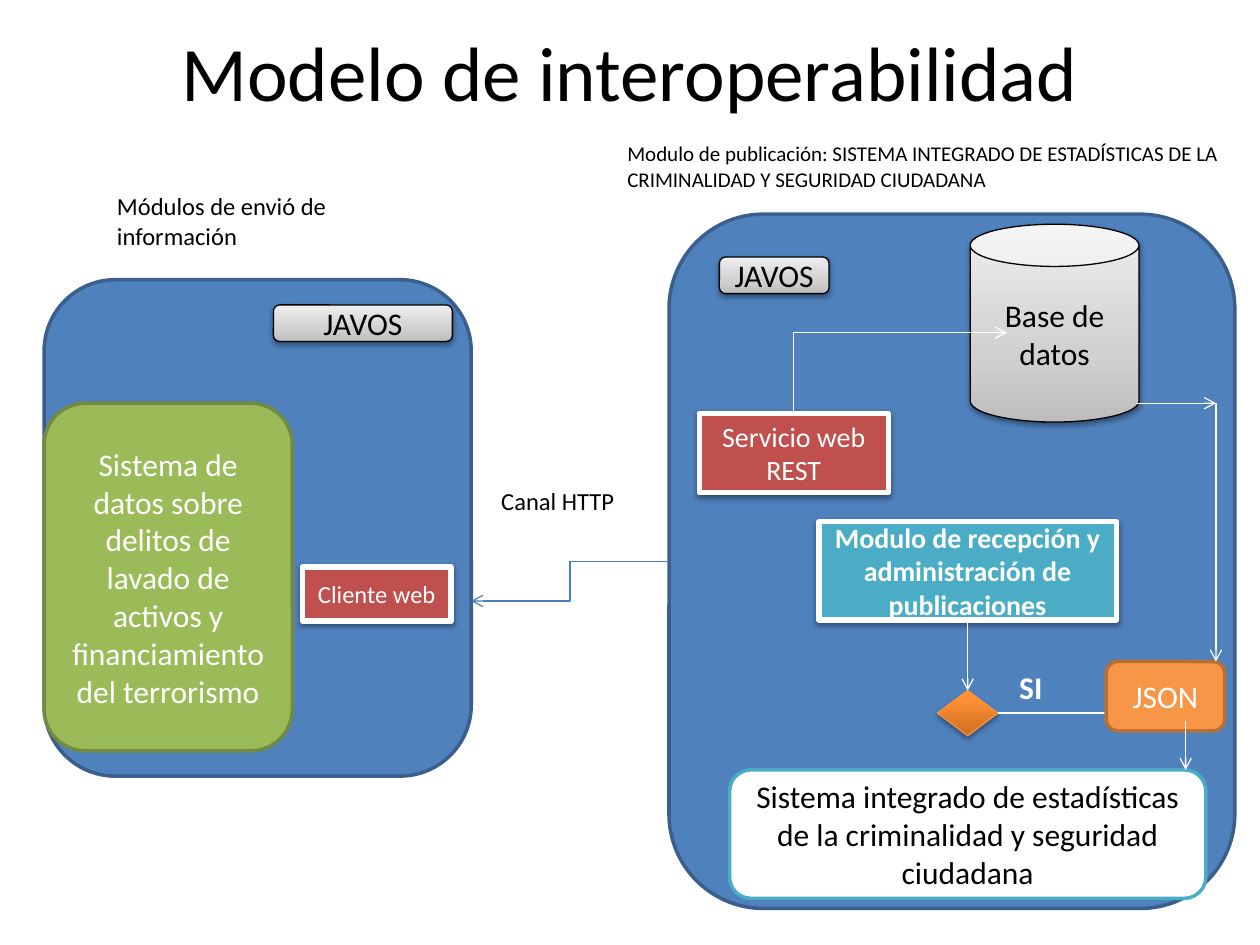
from dataclasses import dataclass
from typing import Optional

from lxml.etree import SubElement
from pptx import Presentation
from pptx.dml.color import RGBColor
from pptx.enum.shapes import MSO_CONNECTOR, MSO_SHAPE
from pptx.enum.text import MSO_ANCHOR, PP_ALIGN
from pptx.oxml.ns import qn
from pptx.util import Inches, Pt

COLORS = {
    "black": "000000", "white": "FFFFFF",
    "blue": "4F81BD", "blue_edge": "3A5F8C", "channel": "4B7EBC",
    "green": "9BBB59", "green_edge": "738A42",
    "red": "C0504D", "teal": "4BACC6",
    "orange": "F79646", "orange_edge": "B76F34", "decision_edge": "F69240",
}
GRADIENTS = {
    "silver": ((0, "BDBDBD"), (35, "D1D1D1"), (100, "EEEEEE")),
    "amber": ((0, "CC6E20"), (80, "FF9034"), (100, "FF9136")),
}
FONT = "Calibri"


@dataclass
class Label:
    text: str
    box: tuple
    size: float
    color: str = "black"
    bold: bool = False
    title: bool = False


@dataclass
class Node:
    name: str
    kind: MSO_SHAPE
    box: tuple
    fill: str
    edge: str
    width: float
    text: str = ""
    size: float = 18
    color: str = "white"
    bold: bool = False
    shadow: bool = False


@dataclass
class Link:
    start: tuple
    end: tuple
    color: str = "white"
    kind: MSO_CONNECTOR = MSO_CONNECTOR.STRAIGHT
    start_site: Optional[tuple] = None
    end_site: Optional[tuple] = None
    corner: bool = False


ROUND, RECTANGLE = MSO_SHAPE.ROUNDED_RECTANGLE, MSO_SHAPE.RECTANGLE
ELBOW = MSO_CONNECTOR.ELBOW

SCENE = (
    Label("Modelo de interoperabilidad", (0.75, 0.13, 8.5, 0.87), 44, title=True),
    Node("sender", ROUND, (0.35, 2.22, 3.39, 3.94), "blue", "blue_edge", 2),
    Node("publisher", ROUND, (5.31, 1.7, 4.49, 5.51), "blue", "blue_edge", 2),
    Label("Canal HTTP", (3.88, 3.81, 1.3, 0.34), 14),
    Label("Módulos de envió de información", (0.83, 1.47, 2.52, 0.57), 14),
    Label("Modulo de publicación: SISTEMA INTEGRADO DE ESTADÍSTICAS DE LA "
          "CRIMINALIDAD Y SEGURIDAD CIUDADANA", (4.88, 1.07, 5.12, 0.5), 12),
    Link((5.31, 4.46), (3.74, 4.77), "channel", ELBOW, ("publisher", 1)),
    Node("client", RECTANGLE, (2.4, 4.5, 1.18, 0.43), "red", "white", 3,
         "Cliente web", 14, shadow=True),
    Node("crime_data", ROUND, (0.35, 3.2, 1.97, 2.76), "green", "green_edge", 2,
         "Sistema de datos sobre delitos de lavado de activos y "
         "financiamiento del terrorismo"),
    Node("database", MSO_SHAPE.CAN, (7.7, 1.78, 1.34, 1.57), "silver", "black", 0.75,
         "Base de datos", color="black", shadow=True),
    Node("service", RECTANGLE, (5.55, 3.28, 1.5, 0.63), "red", "white", 3,
         "Servicio web REST", 16, shadow=True),
    Link((6.3, 3.28), (7.99, 2.64), kind=ELBOW, corner=True),
    Node("reception", RECTANGLE, (6.5, 4.14, 2.36, 0.78), "teal", "white", 3,
         "Modulo de recepción y administración de publicaciones", 16,
         bold=True, shadow=True),
    Node("decision", MSO_SHAPE.DIAMOND, (7.44, 5.48, 0.48, 0.36), "amber",
         "decision_edge", 0.75, shadow=True),
    Link((7.68, 4.92), (7.68, 5.48),
         start_site=("reception", 2), end_site=("decision", 0)),
    Node("statistics", ROUND, (5.79, 6.11, 3.78, 1.02), "white", "teal", 2,
         "Sistema integrado de estadísticas de la criminalidad y seguridad ciudadana",
         color="black"),
    Link((7.92, 5.66), (8.86, 5.66), start_site=("decision", 3)),
    Node("publisher_server", ROUND, (5.71, 2.04, 0.87, 0.29), "silver", "black", 0.75,
         "JAVOS", color="black", shadow=True),
    Node("sender_server", ROUND, (2.17, 2.42, 1.42, 0.29), "silver", "black", 0.75,
         "JAVOS", color="black", shadow=True),
    Node("json", ROUND, (8.78, 5.25, 0.94, 0.55), "orange", "orange_edge", 2, "JSON"),
    Link((9.02, 3.2), (9.65, 3.2)),
    Link((9.65, 3.2), (9.65, 5.25)),
    Link((9.41, 5.72), (9.41, 6.11)),
    Label("SI", (7.99, 5.25, 0.71, 0.4), 18, "white", bold=True),
)


def rgb(name: str) -> RGBColor:
    return RGBColor.from_string(COLORS[name])


def write_text(shape, item, centered: bool) -> None:
    text_frame = shape.text_frame
    text_frame.word_wrap = True
    text_frame.text = item.text
    text_frame.vertical_anchor = MSO_ANCHOR.MIDDLE if centered else MSO_ANCHOR.TOP
    paragraph = text_frame.paragraphs[0]
    paragraph.alignment = PP_ALIGN.CENTER if centered else PP_ALIGN.LEFT
    for run in paragraph.runs:
        run.font.name = FONT
        run.font.size = Pt(item.size)
        run.font.bold = item.bold
        run.font.color.rgb = rgb(item.color)


def draw_label(slide, label: Label) -> None:
    shape = slide.shapes.add_textbox(*map(Inches, label.box))
    write_text(shape, label, label.title)


def fill_gradient(shape, stops: tuple) -> None:
    shape.fill.gradient()
    shape.fill.gradient_angle = 90
    stop_list = shape._element.spPr.find(qn("a:gradFill")).find(qn("a:gsLst"))
    stop_list.clear()
    for position, color in stops:
        stop = SubElement(stop_list, qn("a:gs"), pos=str(position * 1000))
        SubElement(stop, qn("a:srgbClr"), val=color)


def add_shadow(shape) -> None:
    effects = shape._element.spPr.find(qn("a:effectLst"))
    shadow = SubElement(effects, qn("a:outerShdw"), blurRad=str(Pt(3.1)),
                        dist=str(Pt(1.6)), dir="5400000", rotWithShape="0")
    color = SubElement(shadow, qn("a:srgbClr"), val=COLORS["black"])
    SubElement(color, qn("a:alpha"), val="38000")


def draw_node(slide, node: Node):
    shape = slide.shapes.add_shape(node.kind, *map(Inches, node.box))
    if node.fill in GRADIENTS:
        fill_gradient(shape, GRADIENTS[node.fill])
    else:
        shape.fill.solid()
        shape.fill.fore_color.rgb = rgb(node.fill)
    shape.line.color.rgb = rgb(node.edge)
    shape.line.width = Pt(node.width)
    shape.shadow.inherit = False
    if node.shadow:
        add_shadow(shape)
    if node.text:
        write_text(shape, node, True)
    return shape


def draw_link(slide, link: Link, nodes: dict) -> None:
    (x1, y1), (x2, y2) = link.start, link.end
    if link.corner:
        middle_x, middle_y = (x1 + x2) / 2, (y1 + y2) / 2
        half_width, half_height = abs(y2 - y1) / 2, abs(x2 - x1) / 2
        x1, x2 = middle_x + half_width, middle_x - half_width
        y1, y2 = middle_y + half_height, middle_y - half_height
    connector = slide.shapes.add_connector(link.kind, *map(Inches, (x1, y1, x2, y2)))
    properties = connector._element.spPr
    if link.corner:
        properties.find(qn("a:xfrm")).set("rot", "5400000")
        properties.find(qn("a:prstGeom")).set("prst", "bentConnector2")
    if link.start_site:
        connector.begin_connect(nodes[link.start_site[0]], link.start_site[1])
    if link.end_site:
        connector.end_connect(nodes[link.end_site[0]], link.end_site[1])
    connector.line.color.rgb = rgb(link.color)
    connector.line.width = Pt(0.75)
    SubElement(properties.find(qn("a:ln")), qn("a:tailEnd"), type="arrow")
    SubElement(properties, qn("a:effectLst"))


def main() -> None:
    presentation = Presentation()
    presentation.slide_width, presentation.slide_height = Inches(10), Inches(7.5)
    slide = presentation.slides.add_slide(presentation.slide_layouts[6])
    nodes = {}
    for item in SCENE:
        if isinstance(item, Node):
            nodes[item.name] = draw_node(slide, item)
        elif isinstance(item, Link):
            draw_link(slide, item, nodes)
        else:
            draw_label(slide, item)
    presentation.save("out.pptx")


if __name__ == "__main__":
    main()
